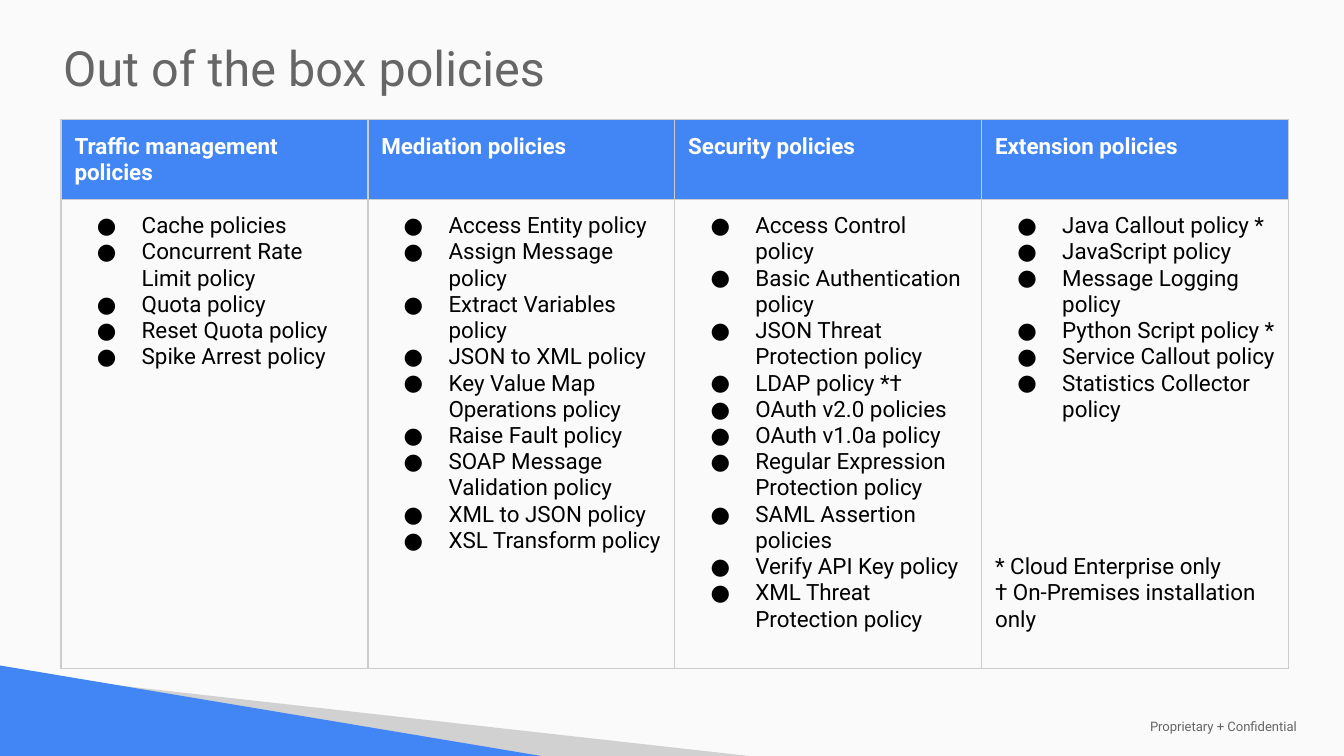
from lxml import etree
from pptx import Presentation
from pptx.dml.color import RGBColor
from pptx.enum.text import MSO_ANCHOR, MSO_AUTO_SIZE, PP_ALIGN
from pptx.oxml.ns import qn
from pptx.util import Pt

MIDDLE = MSO_ANCHOR.MIDDLE
FIXED = MSO_AUTO_SIZE.NONE
LEFT = PP_ALIGN.LEFT

TITLE = "Out of the box policies"
FOOTER = "Proprietary + Confidential"
GROUPS = [
    ("Traffic management policies", [
        "Cache policies", "Concurrent Rate Limit policy", "Quota policy",
        "Reset Quota policy", "Spike Arrest policy"]),
    ("Mediation policies", [
        "Access Entity policy", "Assign Message policy",
        "Extract Variables policy", "JSON to XML policy",
        "Key Value Map Operations policy", "Raise Fault policy",
        "SOAP Message Validation policy", "XML to JSON policy",
        "XSL Transform policy"]),
    ("Security policies", [
        "Access Control policy", "Basic Authentication policy",
        "JSON Threat Protection policy", "LDAP policy *†",
        "OAuth v2.0 policies", "OAuth v1.0a policy",
        "Regular Expression Protection policy", "SAML Assertion policies",
        "Verify API Key policy", "XML Threat Protection policy"]),
    ("Extension policies", [
        "Java Callout policy *", "JavaScript policy",
        "Message Logging policy", "Python Script policy *",
        "Service Callout policy", "Statistics Collector policy"]),
]
NOTES = ["* Cloud Enterprise only", "† On-Premises installation only"]
COLORS = {"page": "FAFAFA", "blue": "4285F4", "gray": "D1D1D1",
          "line": "CCCCCC", "muted": "666666", "white": "FFFFFF",
          "black": "000000"}
WEDGES = [
    ("gray", [(61.5, 367), (401.5, 405), (289, 405)]),
    ("blue", [(0, 356.5), (0, 405), (290, 405)]),
]
FONT = "Roboto"
WIDTH, HEIGHT = 720, 405
COL_W, HEAD_H, BODY_H = 164.4, 42.5, 251.3
NOTE_GAP = 70.3


def paint(fill, color):
    fill.solid()
    fill.fore_color.rgb = RGBColor.from_string(COLORS[color])


def write(para, text, size, color, bold=False):
    para.alignment = LEFT
    run = para.add_run()
    run.text = text
    font = run.font
    font.name, font.size, font.bold = FONT, Pt(size), bold
    font.color.rgb = RGBColor.from_string(COLORS[color])


def set_frame(frame, side, edge):
    frame.auto_size = FIXED
    frame.vertical_anchor = MIDDLE
    frame.margin_left = frame.margin_right = Pt(side)
    frame.margin_top = frame.margin_bottom = Pt(edge)


def add_bullet(para):
    props = para._p.get_or_add_pPr()
    props.set("marL", str(Pt(36)))
    props.set("indent", str(-Pt(24)))
    tint = etree.SubElement(props, qn("a:buClr"))
    etree.SubElement(tint, qn("a:srgbClr"), val=COLORS["black"])
    etree.SubElement(props, qn("a:buFont"), typeface=FONT)
    etree.SubElement(props, qn("a:buChar"), char="●")


def style_cell(cell):
    cell.margin_left = cell.margin_right = Pt(7.2)
    cell.margin_top = cell.margin_bottom = Pt(7.2)
    props = cell._tc.get_or_add_tcPr()
    for side in ("lnL", "lnR", "lnT", "lnB"):
        line = etree.SubElement(props, qn(f"a:{side}"), w=str(Pt(0.75)))
        fill = etree.SubElement(line, qn("a:solidFill"))
        etree.SubElement(fill, qn("a:srgbClr"), val=COLORS["line"])


def add_wedge(shapes, color, points):
    spots = [(Pt(x), Pt(y)) for x, y in points]
    pen = shapes.build_freeform(*spots[0])
    pen.add_line_segments(spots[1:], close=True)
    wedge = pen.convert_to_shape()
    wedge.shadow.inherit = False
    wedge.line.fill.background()
    paint(wedge.fill, color)


def add_grid(shapes):
    frame = shapes.add_table(2, len(GROUPS), Pt(32.7), Pt(64.2),
                             Pt(COL_W * len(GROUPS)), Pt(HEAD_H + BODY_H))
    table = frame.table
    table.horz_banding = False
    table.rows[0].height, table.rows[1].height = Pt(HEAD_H), Pt(BODY_H)
    for col, (name, items) in enumerate(GROUPS):
        table.columns[col].width = Pt(COL_W)
        head, body = table.cell(0, col), table.cell(1, col)
        style_cell(head)
        style_cell(body)
        paint(head.fill, "blue")
        body.fill.background()
        write(head.text_frame.paragraphs[0], name, 12, "white", True)
        text = body.text_frame
        for i, item in enumerate(items):
            para = text.add_paragraph() if i else text.paragraphs[0]
            write(para, item, 12, "black")
            add_bullet(para)
    for i, note in enumerate(NOTES):
        para = text.add_paragraph()
        para.space_before = Pt(0 if i else NOTE_GAP)
        write(para, note, 12, "black")


def main():
    deck = Presentation()
    deck.slide_width, deck.slide_height = Pt(WIDTH), Pt(HEIGHT)
    slide = deck.slides.add_slide(deck.slide_layouts[5])
    paint(slide.background.fill, "page")
    shapes = slide.shapes
    for color, points in WEDGES:
        add_wedge(shapes, color, points)

    footer = shapes.add_textbox(Pt(609), Pt(384), Pt(107), Pt(10))
    set_frame(footer.text_frame, 7.2, 7.2)
    write(footer.text_frame.paragraphs[0], FOOTER, 7, "muted")

    title = shapes.title
    title.left, title.top = Pt(28.4), Pt(16.2)
    title.width, title.height = Pt(614), Pt(39.6)
    set_frame(title.text_frame, 5.4, 2.7)
    write(title.text_frame.paragraphs[0], TITLE, 26, "muted")

    add_grid(shapes)
    deck.save("out.pptx")


if __name__ == "__main__":
    main()
